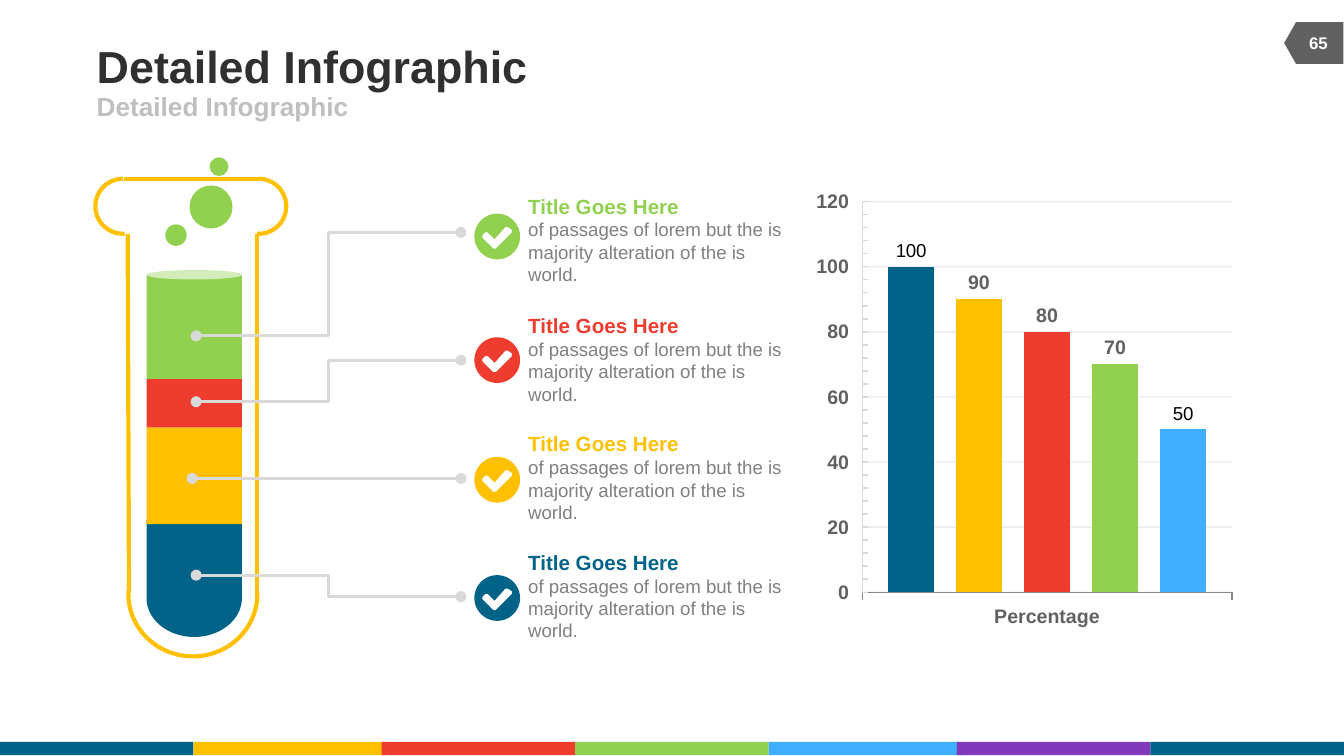
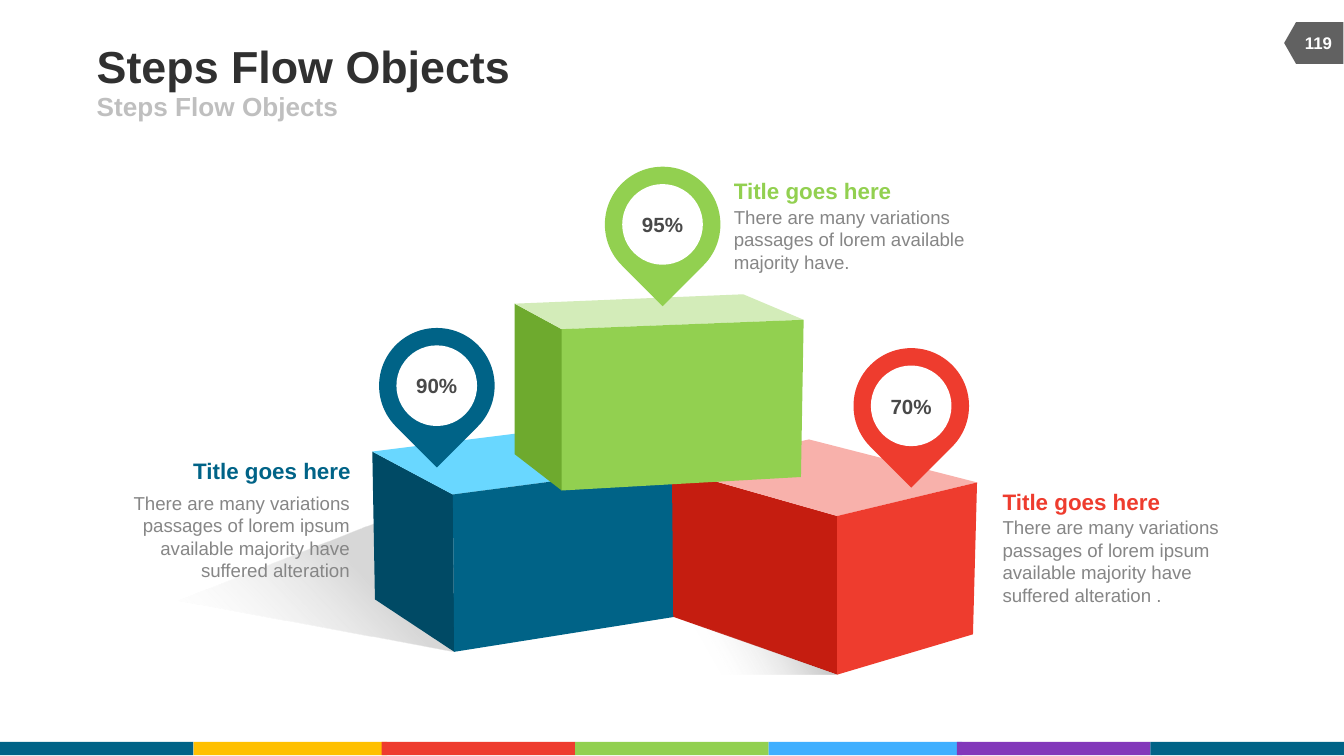
"""Build two infographic slides: a test tube with a column chart, and stepped blocks with pins."""
from dataclasses import dataclass
from math import cos, pi, sin
from typing import NamedTuple

from lxml.etree import SubElement
from pptx import Presentation
from pptx.chart.data import CategoryChartData
from pptx.dml.color import RGBColor
from pptx.enum.chart import XL_CHART_TYPE, XL_LABEL_POSITION, XL_TICK_LABEL_POSITION, XL_TICK_MARK
from pptx.enum.shapes import MSO_CONNECTOR, MSO_SHAPE
from pptx.enum.text import MSO_ANCHOR, PP_ALIGN
from pptx.oxml.ns import qn
from pptx.util import Inches, Pt

COLUMN = XL_CHART_TYPE.COLUMN_CLUSTERED
OUTSIDE_END, LABELS_LOW = XL_LABEL_POSITION.OUTSIDE_END, XL_TICK_LABEL_POSITION.LOW
TICK_OUTSIDE, TICK_INSIDE, TICK_NONE = XL_TICK_MARK.OUTSIDE, XL_TICK_MARK.INSIDE, XL_TICK_MARK.NONE
STRAIGHT, ELBOW = MSO_CONNECTOR.STRAIGHT, MSO_CONNECTOR.ELBOW
RECT, OVAL, ARC = MSO_SHAPE.RECTANGLE, MSO_SHAPE.OVAL, MSO_SHAPE.ARC
TEARDROP, PAGE_TAG = MSO_SHAPE.TEAR, MSO_SHAPE.FLOWCHART_OFFPAGE_CONNECTOR
TRIANGLE, RIGHT_TRIANGLE = MSO_SHAPE.ISOSCELES_TRIANGLE, MSO_SHAPE.RIGHT_TRIANGLE
TOP, MIDDLE = MSO_ANCHOR.TOP, MSO_ANCHOR.MIDDLE
LEFT, CENTER, RIGHT = PP_ALIGN.LEFT, PP_ALIGN.CENTER, PP_ALIGN.RIGHT

FONT = "Arial"
BLUE, YELLOW, RED, GREEN = "006387", "FFC000", "EE3C2E", "92D050"
SKY, PURPLE, WHITE, BLACK = "40AFFF", "8238BA", "FFFFFF", "000000"
PALE_GREEN, GREY, DARK_GREY, LINE_GREY = "D3ECB9", "868686", "616161", "D9D9D9"
FOOTER = [(0, BLUE), (1.44, YELLOW), (2.84, RED), (4.28, GREEN), (5.72, SKY), (7.12, PURPLE), (8.56, BLUE)]
CHECK = [(0.28, 0.12), (0.25, 0.1), (0.23, 0.1), (0.15, 0.19), (0.1, 0.14), (0.08, 0.14),
         (0.06, 0.16), (0.06, 0.18), (0.14, 0.26), (0.16, 0.26), (0.28, 0.14)]

Point = tuple[float, float]


class Box(NamedTuple):
    left: float
    top: float
    width: float
    height: float


class Style(NamedTuple):
    size: float
    color: str
    bold: bool = False


class Stop(NamedTuple):
    position: int
    color: str
    opacity: int


@dataclass
class Layer:
    color: str
    text_top: float
    badge_top: float
    start: Point
    leader_end: float


@dataclass
class Block:
    near_top: Point
    near_bottom: Point
    left_top: Point
    left_bottom: Point
    back: Point
    right_top: Point
    right_bottom: Point
    side_color: str
    top_color: str
    front_color: str


@dataclass
class Pin:
    left: float
    top: float
    color: str
    percent: str


@dataclass
class Caption:
    heading: Box
    body: Box
    color: str
    text: str
    align: PP_ALIGN = LEFT


LAYERS = [
    Layer(GREEN, 1.44, 1.59, (1.46, 2.5), 1.73),
    Layer(RED, 2.33, 2.51, (1.46, 2.99), 2.68),
    Layer(YELLOW, 3.21, 3.4, (1.43, 3.56), 3.56),
    Layer(BLUE, 4.09, 4.28, (1.46, 4.28), 4.44),
]
BARS = [(100, BLUE), (90, YELLOW), (80, RED), (70, GREEN), (50, SKY)]
PLAIN_LABELS = (BLUE, SKY)

BLUE_BLOCK = Block((3.37, 3.68), (3.38, 4.85), (2.77, 3.36), (2.79, 4.46), (4.37, 3.16),
                   (5.04, 3.46), (5.02, 4.59), "004A65", "69D7FF", BLUE)
RED_BLOCK = Block((6.23, 3.84), (6.23, 5.02), (5, 3.49), (5.01, 4.59), (6.02, 3.27),
                  (7.27, 3.59), (7.24, 4.72), "C51D10", "F8B1AB", RED)
GREEN_BLOCK = Block((4.18, 2.45), (4.18, 3.65), (3.83, 2.26), (3.83, 3.38), (5.53, 2.19),
                    (5.98, 2.38), (5.96, 3.55), "6EAA2E", PALE_GREEN, GREEN)
LOWER_PINS = [Pin(2.82, 2.44, BLUE, "90%"), Pin(6.35, 2.59, RED, "70%")]
TOP_PIN = Pin(4.5, 1.24, GREEN, "95%")
CAPTIONS = [
    Caption(Box(1.42, 3.4, 1.19, 0.2), Box(0.78, 3.66, 1.82, 0.67), BLUE,
            "There are many variations passages of lorem ipsum available majority have\nsuffered alteration", RIGHT),
    Caption(Box(7.46, 3.63, 1.19, 0.2), Box(7.46, 3.84, 1.84, 0.67), RED,
            "There are many variations passages of lorem ipsum available majority have suffered alteration ."),
    Caption(Box(5.46, 1.32, 1.19, 0.2), Box(5.46, 1.53, 2.21, 0.5), GREEN,
            "There are many variations passages of lorem available majority have."),
]


def rgb(color: str) -> RGBColor:
    return RGBColor.from_string(color)


def set_font(font, style: Style) -> None:
    font.name, font.size, font.bold = FONT, Pt(style.size), style.bold
    font.color.rgb = rgb(style.color)


def write(shape, lines: list[tuple[str, Style]], align=LEFT, anchor=TOP, wrap=True) -> None:
    frame = shape.text_frame
    frame.word_wrap, frame.vertical_anchor = wrap, anchor
    frame.margin_left = frame.margin_right = frame.margin_top = frame.margin_bottom = 0
    for index, (text, style) in enumerate(lines):
        paragraph = frame.add_paragraph() if index else frame.paragraphs[0]
        paragraph.text = text
        paragraph.alignment = align
        for run in paragraph.runs:
            set_font(run.font, style)


def add_text(slide, box: Box, lines: list[tuple[str, Style]], align=LEFT, anchor=TOP, wrap=True) -> None:
    write(slide.shapes.add_textbox(*map(Inches, box)), lines, align, anchor, wrap)


def paint(shape, color: str) -> None:
    shape.shadow.inherit = False
    shape.fill.solid()
    shape.fill.fore_color.rgb = rgb(color)
    shape.line.fill.background()


def add_solid(slide, kind, box: Box, color: str, rotation: float = 0):
    shape = slide.shapes.add_shape(kind, *map(Inches, box))
    shape.rotation = rotation
    paint(shape, color)
    return shape


def add_outline(slide, color: str, *contours: list[Point]) -> None:
    first, *others = [[(Inches(x), Inches(y)) for x, y in contour] for contour in contours]
    builder = slide.shapes.build_freeform(*first[0])
    builder.add_line_segments(first[1:], close=True)
    for contour in others:
        builder.move_to(*contour[0])
        builder.add_line_segments(contour[1:], close=True)
    paint(builder.convert_to_shape(), color)


def ellipse_points(center: Point, radii: Point, sweep: float, steps: int = 48) -> list[Point]:
    angles = [sweep * step / steps for step in range(steps + 1)]
    return [(center[0] + radii[0] * cos(a), center[1] + radii[1] * sin(a)) for a in angles]


def add_arc(slide, box: Box, start: float, end: float, rotation: float = 0) -> None:
    arc = slide.shapes.add_shape(ARC, *map(Inches, box))
    arc.adjustments[0], arc.adjustments[1] = start, end
    arc.rotation = rotation
    arc.shadow.inherit = False
    arc.fill.background()
    arc.line.color.rgb, arc.line.width = rgb(YELLOW), Pt(2.25)


def add_line(slide, kind, start: Point, end: Point, color: str, width: float, dots: bool = False) -> None:
    line = slide.shapes.add_connector(kind, *map(Inches, (*start, *end)))
    line.line.color.rgb, line.line.width = rgb(color), Pt(width)
    properties = line._element.spPr
    if dots:
        for tag in ("a:headEnd", "a:tailEnd"):
            SubElement(properties.find(qn("a:ln")), qn(tag), type="oval")
    SubElement(properties, qn("a:effectLst"))


def set_opacity(color_element, opacity: int) -> None:
    SubElement(color_element, qn("a:alpha"), val=str(opacity * 1000))


def add_gradient(slide, kind, box: Box, stops: list[Stop], angle: int, rotation: float = 0):
    shape = add_solid(slide, kind, box, WHITE, rotation)
    properties = shape._element.spPr
    gradient = SubElement(properties, qn("a:gradFill"), rotWithShape="1")
    stop_list = SubElement(gradient, qn("a:gsLst"))
    for stop in stops:
        entry = SubElement(stop_list, qn("a:gs"), pos=str(stop.position * 1000))
        set_opacity(SubElement(entry, qn("a:srgbClr"), val=stop.color), stop.opacity)
    SubElement(gradient, qn("a:lin"), ang=str(angle * 60000), scaled="0")
    properties.replace(properties.find(qn("a:solidFill")), gradient)
    return shape


def add_page(deck, title: str, number: str):
    slide = deck.slides.add_slide(deck.slide_layouts[6])
    for left, color in FOOTER:
        add_solid(slide, RECT, Box(left, 5.52, 1.44, 0.1), color)
    add_solid(slide, PAGE_TAG, Box(9.62, 0.1, 0.31, 0.44), DARK_GREY, 90)
    add_text(slide, Box(0.72, 0.29, 6.17, 0.39), [(title, Style(24, "303030", True))], anchor=MIDDLE)
    add_text(slide, Box(0.72, 0.68, 4.5, 0.22), [(title, Style(14, "BFBFBF", True))], anchor=MIDDLE)
    add_text(slide, Box(9.62, 0.17, 0.38, 0.3), [(number, Style(9, WHITE, True))], CENTER, MIDDLE)
    return slide


def add_tube(slide) -> None:
    add_outline(slide, BLUE, [(1.8, 3.87), *ellipse_points((1.445, 4.45), (0.355, 0.29), pi), (1.09, 3.87)])
    for top, height, color in [(3.18, 0.72, YELLOW), (2.82, 0.36, RED), (2.05, 0.77, GREEN)]:
        add_solid(slide, RECT, Box(1.09, top, 0.71, height), color)
    add_solid(slide, OVAL, Box(1.09, 2.01, 0.71, 0.07), PALE_GREEN)
    add_arc(slide, Box(0.97, 3.94, 0.93, 0.96), 162, 55.82, 90)
    add_arc(slide, Box(1.72, 1.33, 0.41, 0.41), 162, 56.2)
    add_arc(slide, Box(0.71, 1.33, 0.41, 0.41), 51.8, 162)
    for start, end in [((0.96, 4.41), (0.95, 1.74)), ((1.91, 4.43), (1.91, 1.74)), ((1.93, 1.33), (0.92, 1.33))]:
        add_line(slide, STRAIGHT, start, end, YELLOW, 2.25)
    for left, top, size in [(1.41, 1.38, 0.32), (1.23, 1.67, 0.16), (1.56, 1.17, 0.14)]:
        add_solid(slide, OVAL, Box(left, top, size, size), GREEN)


def add_layer_note(slide, layer: Layer) -> None:
    kind = STRAIGHT if layer.start[1] == layer.leader_end else ELBOW
    add_line(slide, kind, layer.start, (3.43, layer.leader_end), LINE_GREY, 1.5, dots=True)
    add_text(slide, Box(3.93, layer.text_top, 1.89, 0.69), [
        ("Title Goes Here", Style(11, layer.color, True)),
        ("of passages of lorem but the is majority alteration of the is world.", Style(10, "808080")),
    ])
    disc = ellipse_points((3.7, layer.badge_top + 0.17), (0.17, 0.17), 2 * pi)
    add_outline(slide, layer.color, disc, [(3.53 + x, layer.badge_top + y) for x, y in CHECK])


def add_percentage_chart(slide) -> None:
    data = CategoryChartData()
    data.categories = ["Percentage"]
    for index, (value, _) in enumerate(BARS, 1):
        data.add_series(f"Series {index}", [value])
    chart = slide.shapes.add_chart(COLUMN, *map(Inches, Box(6.01, 1.35, 3.22, 3.39)), data).chart
    chart.has_title = chart.has_legend = False
    label_style = Style(10.5, DARK_GREY, True)
    set_font(chart.font, label_style)
    plot = chart.plots[0]
    plot.gap_width, plot.overlap, plot.vary_by_categories = 115, -50, False
    for series, (_, color) in zip(plot.series, BARS):
        series.format.fill.solid()
        series.format.fill.fore_color.rgb = rgb(color)
        series.data_labels.show_value = True
        series.data_labels.position = OUTSIDE_END
        set_font(series.data_labels.font, Style(10, BLACK) if color in PLAIN_LABELS else label_style)
    base, axis = chart.category_axis, chart.value_axis
    base.major_tick_mark = TICK_OUTSIDE
    axis.minimum_scale, axis.maximum_scale, axis.major_unit = 0, 120, 20
    axis.major_tick_mark, axis.minor_tick_mark = TICK_NONE, TICK_INSIDE
    axis.tick_label_position = LABELS_LOW
    axis.has_major_gridlines = True
    grid = axis.major_gridlines.format.line
    for line, color in [(base.format.line, GREY), (axis.format.line, LINE_GREY), (grid, LINE_GREY)]:
        line.color.rgb, line.width = rgb(color), Pt(0.75)
    set_opacity(next(axis._element.find(qn("c:majorGridlines")).iter(qn("a:srgbClr"))), 48)


def add_block(slide, block: Block) -> None:
    add_outline(slide, block.side_color, [block.near_top, block.left_top, block.left_bottom, block.near_bottom])
    add_outline(slide, block.top_color, [block.near_top, block.left_top, block.back, block.right_top])
    add_outline(slide, block.front_color, [block.near_top, block.right_top, block.right_bottom, block.near_bottom])


def add_pin(slide, pin: Pin) -> None:
    add_solid(slide, TEARDROP, Box(pin.left, pin.top, 0.86, 0.86), pin.color, 135)
    face = add_solid(slide, OVAL, Box(pin.left + 0.13, pin.top + 0.13, 0.6, 0.6), WHITE)
    write(face, [(pin.percent, Style(11, "494949", True))], CENTER, MIDDLE)


def build_tube_slide(deck) -> None:
    slide = add_page(deck, "Detailed Infographic", "65")
    add_tube(slide)
    for layer in LAYERS:
        add_layer_note(slide, layer)
    add_percentage_chart(slide)


def build_steps_slide(deck) -> None:
    slide = add_page(deck, "Steps Flow Objects", "119")
    add_gradient(slide, RIGHT_TRIANGLE, Box(1.82, 2.98, 1.3, 2.08),
                 [Stop(0, WHITE, 0), Stop(50, GREY, 33)], 36, 280.5)
    add_block(slide, BLUE_BLOCK)
    add_block(slide, RED_BLOCK)
    shade = add_gradient(slide, TRIANGLE, Box(4.25, 4.59, 1.98, 0.43),
                         [Stop(0, GREY, 79), Stop(50, "F2F2F2", 0)], 150)
    shade.adjustments[0] = 0.39
    for pin in LOWER_PINS:
        add_pin(slide, pin)
    for caption in CAPTIONS:
        add_text(slide, caption.body, [(caption.text, Style(10, GREY))], caption.align)
        add_text(slide, caption.heading, [("Title goes here", Style(12, caption.color, True))],
                 caption.align, wrap=False)
    add_block(slide, GREEN_BLOCK)
    add_pin(slide, TOP_PIN)


def main() -> None:
    deck = Presentation()
    deck.slide_width, deck.slide_height = Inches(10), Inches(10 * 9 / 16)
    build_tube_slide(deck)
    build_steps_slide(deck)
    deck.save("out.pptx")


if __name__ == "__main__":
    main()
